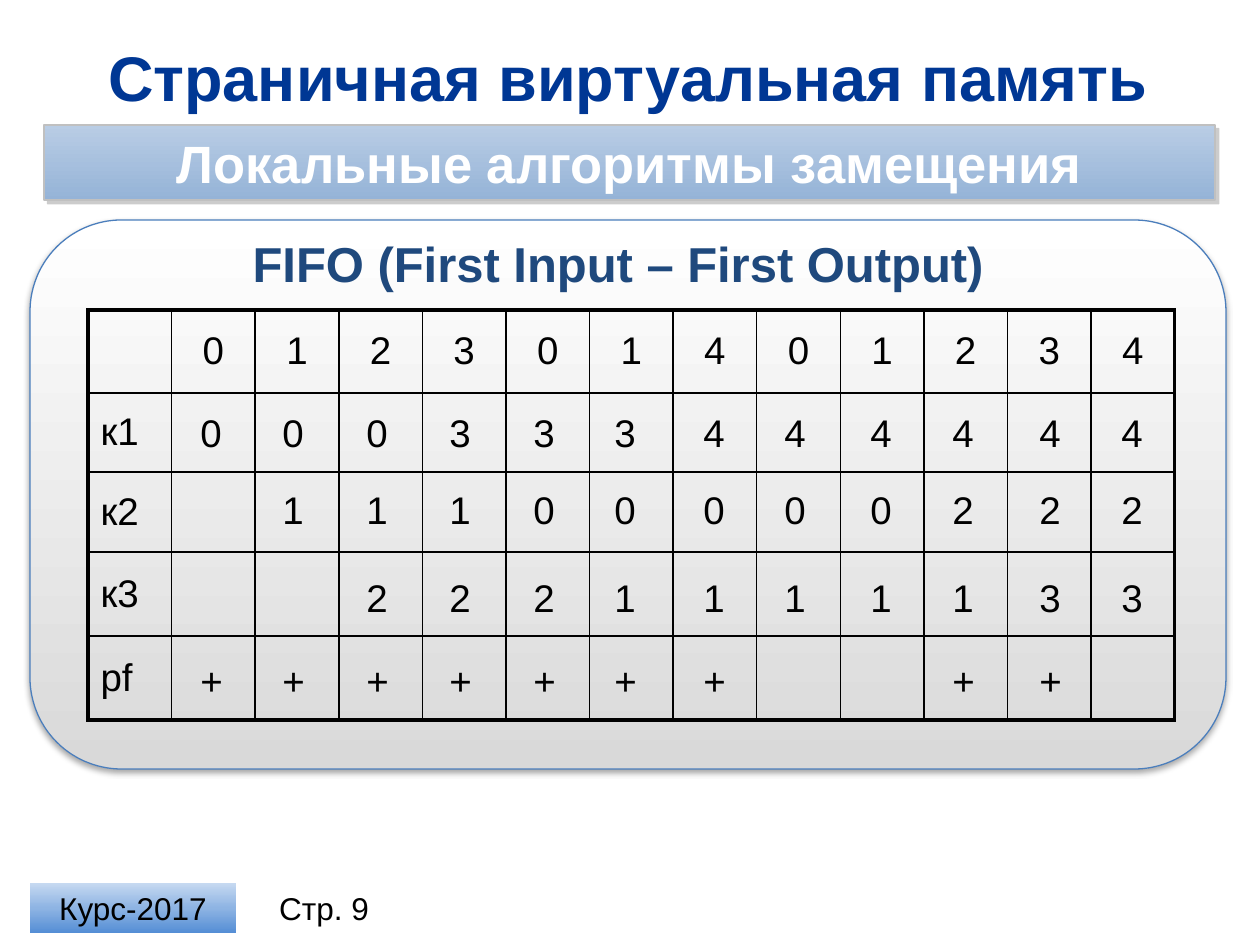
from lxml import etree
from pptx import Presentation
from pptx import util as u
from pptx.dml.color import RGBColor
from pptx.enum import shapes, text
from pptx.oxml import ns

SCALE = 914400 // 126
FONT = "Arial"
BLACK = RGBColor(0x00, 0x00, 0x00)
WHITE = RGBColor(0xFF, 0xFF, 0xFF)
GRAY = RGBColor(0x80, 0x80, 0x80)
SILVER = RGBColor(0xC0, 0xC0, 0xC0)
PANEL_GRAY = RGBColor(0xD9, 0xD9, 0xD9)
PANEL_LINE = RGBColor(0x4B, 0x7E, 0xBC)
TITLE_BLUE = RGBColor(0x00, 0x37, 0x94)
HEADING_BLUE = RGBColor(0x1F, 0x49, 0x7D)
BANNER_TOP = RGBColor(0xB9, 0xCD, 0xE5)
BANNER_BOTTOM = RGBColor(0x95, 0xB3, 0xD7)
BADGE_DARK = RGBColor(0x55, 0x8E, 0xD5)
BADGE_MIDDLE = RGBColor(0x8E, 0xB4, 0xE3)
BADGE_LIGHT = RGBColor(0xC6, 0xD9, 0xF1)

REQUESTS = "012301401234"
ROW_LABELS = ["", "к1", "к2", "к3", "pf"]
ROW_HEIGHTS = [83, 79, 80, 84, 84]
FRAMES = ["000333444444", " 11100000222", "  2221111133", "+++++++  ++ "]
FRAME_TOPS = [93, 170, 258, 341]
FRAME_LEFTS = [100, 182, 266, 349, 433, 514, 603, 684, 770, 852, 939, 1021]


def px(length):
    """Turn pixels into EMU."""
    return u.Emu(round(length * SCALE))


def child(parent, tag, **attributes):
    """Append a drawing element with the given attributes."""
    element = etree.SubElement(parent, ns.qn(tag))
    for name, value in attributes.items():
        element.set(name, str(value))
    return element


def write(frame, words, size, color=BLACK, bold=False, align=text.PP_ALIGN.CENTER):
    """Fill a text frame with one formatted paragraph."""
    frame.text = words
    paragraph = frame.paragraphs[0]
    paragraph.alignment = align
    for run in paragraph.runs:
        run.font.name = FONT
        run.font.size = u.Pt(size)
        run.font.bold = bold
        run.font.color.rgb = color
    return paragraph


def add_label(slide, box, words, size, anchor=text.MSO_ANCHOR.MIDDLE, **style):
    """Add a wrapping text box."""
    frame = slide.shapes.add_textbox(*map(px, box)).text_frame
    frame.word_wrap = True
    frame.vertical_anchor = anchor
    write(frame, words, size, **style)
    return frame


def add_gradient_shape(slide, kind, box, colors, angle, line=None, shadow=None):
    """Add a preset shape with evenly spaced gradient stops."""
    shape = slide.shapes.add_shape(kind, *map(px, box))
    shape.shadow.inherit = False
    shape.fill.gradient()
    gradient = shape._element.spPr.find(ns.qn("a:gradFill"))
    for part in list(gradient):
        gradient.remove(part)
    stops = child(gradient, "a:gsLst")
    for index, color in enumerate(colors):
        stop = child(stops, "a:gs", pos=100000 * index // (len(colors) - 1))
        child(stop, "a:srgbClr", val=color)
    child(gradient, "a:lin", ang=angle * 60000, scaled=0)
    if line:
        shape.line.color.rgb, shape.line.width = line[0], u.Pt(line[1])
    else:
        shape.line.fill.background()
    if shadow:
        color, alpha, blur, distance, direction = shadow
        effects = shape._element.spPr.find(ns.qn("a:effectLst"))
        outer = child(effects, "a:outerShdw", blurRad=u.Pt(blur), dist=u.Pt(distance),
                      dir=direction * 60000, rotWithShape=0)
        child(child(outer, "a:srgbClr", val=color), "a:alpha", val=alpha * 1000)
    return shape


def set_borders(cell, widths):
    """Draw the left, right, top and bottom borders of a cell."""
    properties = cell._tc.get_or_add_tcPr()
    for index, (side, width) in enumerate(zip("LRTB", widths)):
        border = child(properties, f"a:ln{side}", w=u.Pt(width))
        child(child(border, "a:solidFill"), "a:srgbClr", val=BLACK)
        properties.insert(index, border)


def add_header(slide, left, top, width):
    """Place the title and the banner below it."""
    add_label(slide, (left, top, width, 86), "Страничная виртуальная память", 36,
              color=TITLE_BLUE, bold=True)
    banner = add_gradient_shape(
        slide, shapes.MSO_SHAPE.RECTANGLE, (left + 14, top + 92, width - 25, 75),
        [BANNER_TOP, BANNER_BOTTOM], 90, (SILVER, 1), (GRAY, 40, 0, 3, 45))
    banner.text_frame.vertical_anchor = text.MSO_ANCHOR.MIDDLE
    write(banner.text_frame, "Локальные алгоритмы замещения", 30, WHITE, True)


def add_page_table(slide, left, top, width):
    """Place the ruled table with the requests and the row labels."""
    rows, columns = len(ROW_LABELS), len(REQUESTS) + 1
    table = slide.shapes.add_table(
        rows, columns, *map(px, (left, top, width, sum(ROW_HEIGHTS)))).table
    table.first_row = table.horz_banding = False
    for column in table.columns:
        column.width = px(width / columns)
    for row, height in enumerate(ROW_HEIGHTS):
        table.rows[row].height = px(height)
        for column in range(columns):
            cell = table.cell(row, column)
            cell.fill.background()
            cell.vertical_anchor = text.MSO_ANCHOR.MIDDLE
            outer = (column == 0, column == columns - 1, row == 0, row == rows - 1)
            set_borders(cell, [2.25 if edge else 1 for edge in outer])
            if column == 0:
                write(cell.text_frame, ROW_LABELS[row], 22, align=text.PP_ALIGN.LEFT)
            elif row == 0:
                write(cell.text_frame, REQUESTS[column - 1], 22)


def add_frame_marks(slide, left, top):
    """Place the frame contents and fault marks over the table."""
    for mark_top, marks in zip(FRAME_TOPS, FRAMES):
        for mark_left, mark in zip(FRAME_LEFTS, marks):
            if mark != " ":
                add_label(slide, (left + mark_left, top + mark_top, 50, 59), mark, 22,
                          text.MSO_ANCHOR.TOP, align=text.PP_ALIGN.LEFT)


def add_algorithm_panel(slide, left, top, width, height):
    """Place the rounded panel with its heading and table."""
    add_gradient_shape(slide, shapes.MSO_SHAPE.ROUNDED_RECTANGLE, (left, top, width, height),
                       [WHITE, PANEL_GRAY], 90, (PANEL_LINE, 0.75), (BLACK, 35, 3.1, 1.8, 90))
    heading = add_label(slide, (left + 44, top + 7, width - 80, 72),
                        "FIFO (First Input – First Output)", 28, text.MSO_ANCHOR.TOP,
                        color=HEADING_BLUE, bold=True)
    heading.margin_right = px(40)
    heading.paragraphs[0].space_after = u.Pt(6)
    add_page_table(slide, left + 58, top + 90, width - 109)
    add_frame_marks(slide, left + 58, top + 90)


def add_footer(slide, left, top, height):
    """Place the badge and the page number."""
    badge = add_gradient_shape(slide, shapes.MSO_SHAPE.RECTANGLE, (left, top, 206, height),
                               [BADGE_DARK, BADGE_MIDDLE, BADGE_LIGHT], 270)
    badge.text_frame.vertical_anchor = text.MSO_ANCHOR.MIDDLE
    write(badge.text_frame, "Курс-2017", 18)
    add_label(slide, (left + 226, top, 136, height), "Стр. 9", 18)


def main():
    """Build the slide and save it."""
    presentation = Presentation()
    presentation.slide_width, presentation.slide_height = px(1260), px(945)
    slide = presentation.slides.add_slide(presentation.slide_layouts[6])
    add_header(slide, 30, 33, 1196)
    add_algorithm_panel(slide, 30, 220, 1196, 549)
    add_footer(slide, 30, 883, 50)
    presentation.save("out.pptx")


main()
